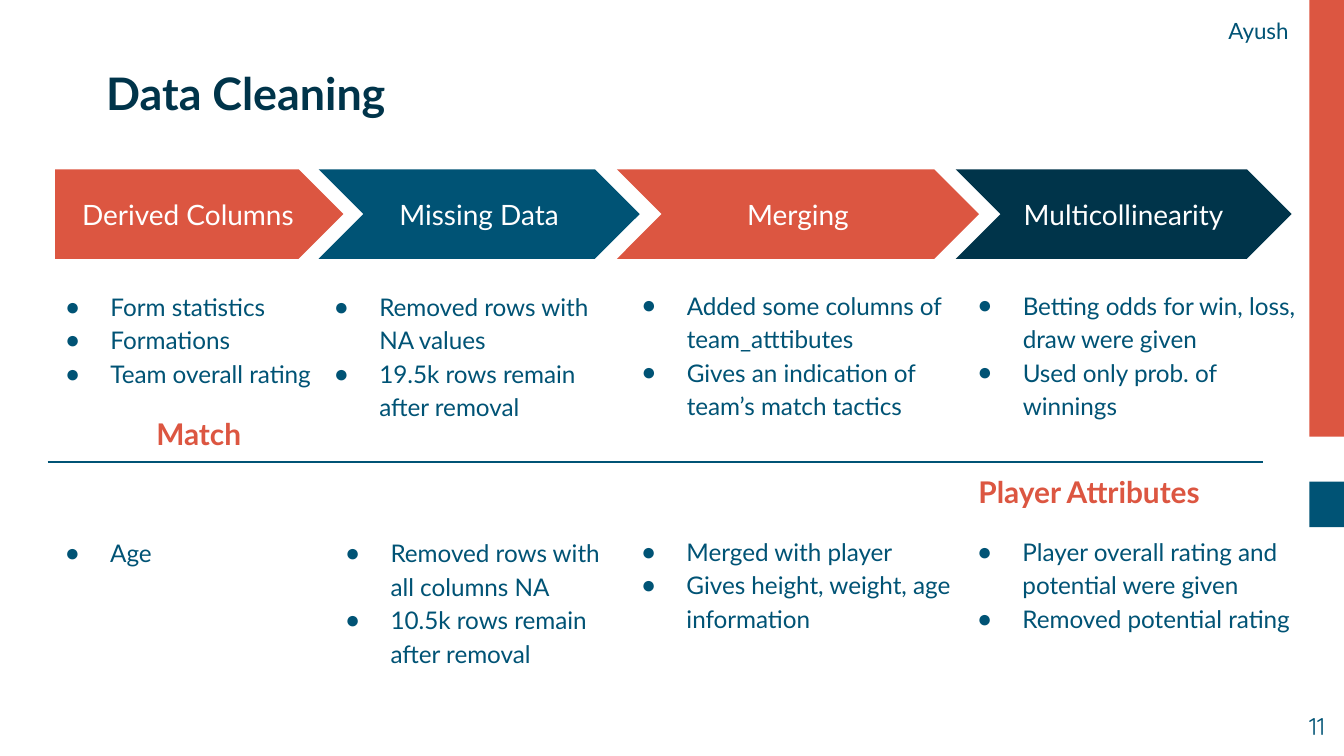
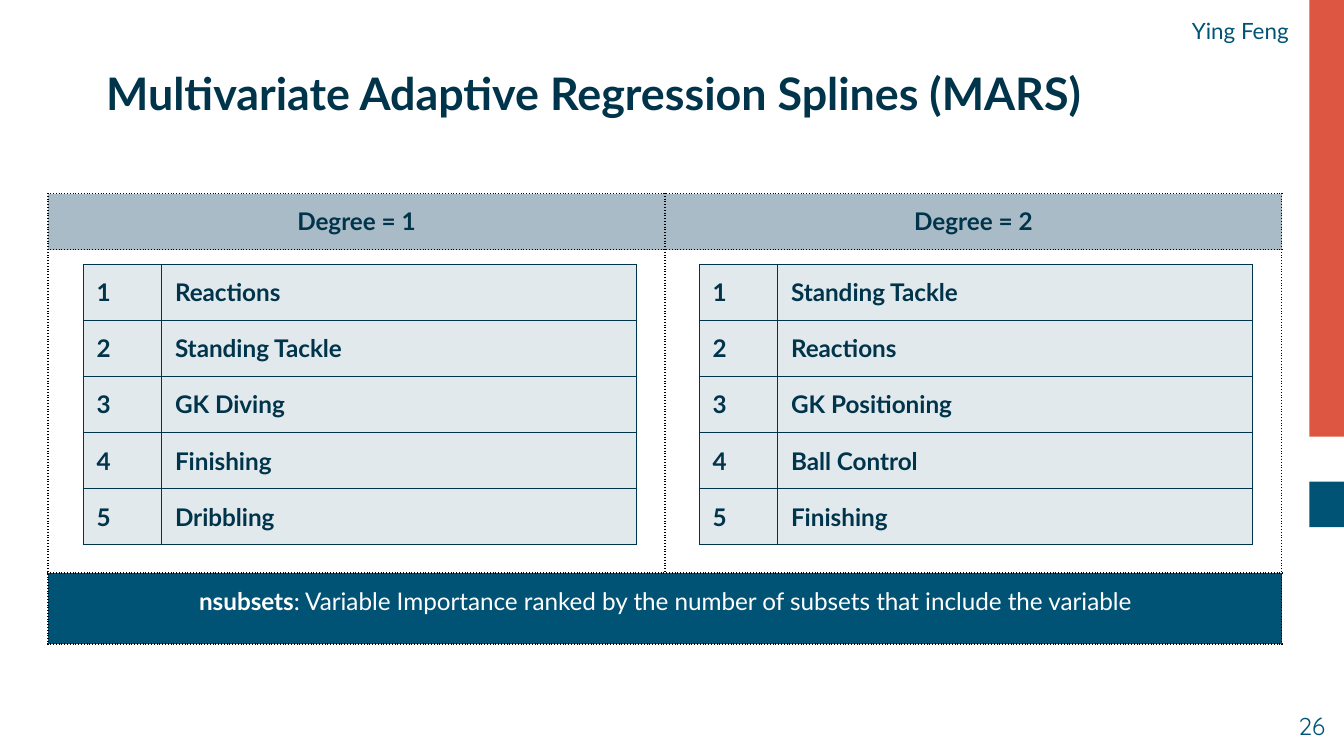
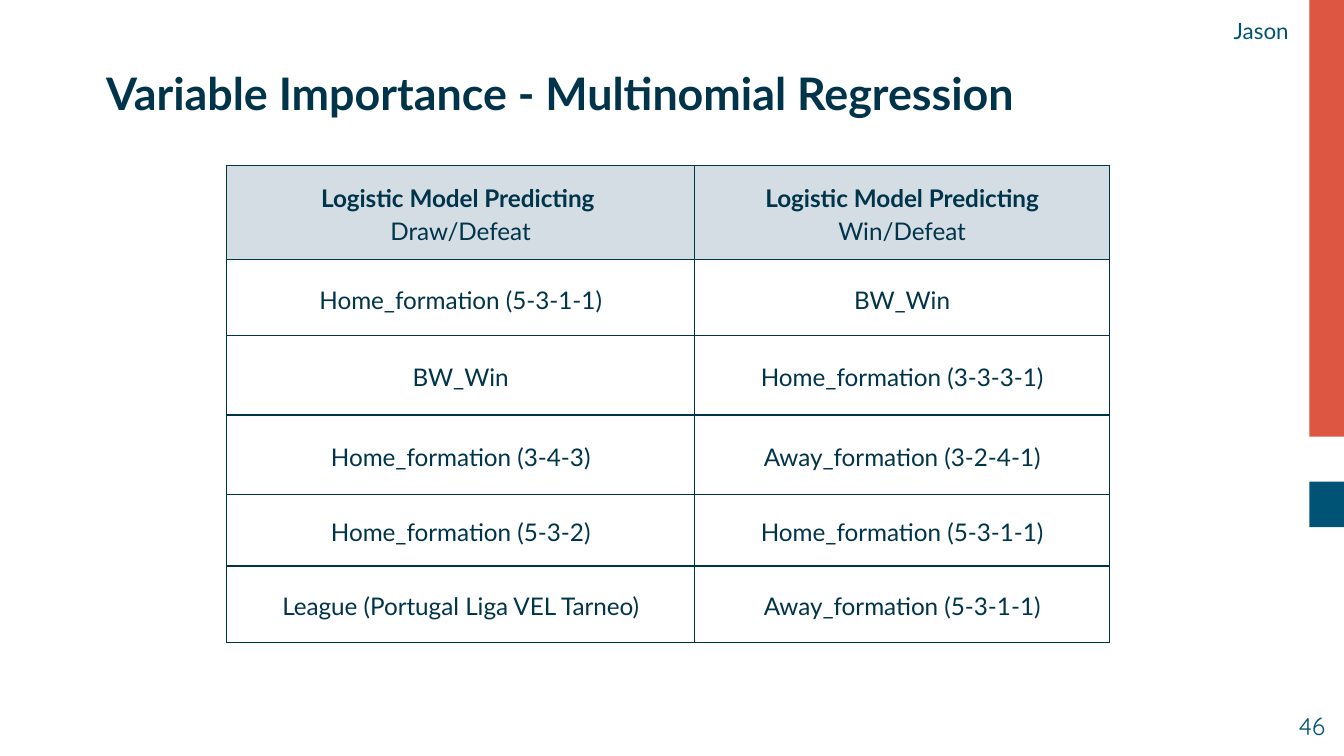
from lxml import etree
from pptx import Presentation
from pptx.dml.color import RGBColor
from pptx.enum.shapes import MSO_CONNECTOR, MSO_SHAPE
from pptx.enum.text import MSO_ANCHOR as ANCHOR, MSO_AUTO_SIZE, PP_ALIGN as ALIGN
from pptx.oxml import parse_xml
from pptx.oxml.ns import nsdecls, qn
from pptx.util import Pt

# Shared style
CORAL = RGBColor(0xDC, 0x56, 0x41)
TEAL = RGBColor(0x00, 0x53, 0x75)
NAVY = RGBColor(0x00, 0x34, 0x4A)
WHITE = RGBColor(0xFF, 0xFF, 0xFF)
BLACK = RGBColor(0x00, 0x00, 0x00)
SLATE = RGBColor(0xAA, 0xBB, 0xC8)
MIST = RGBColor(0xE2, 0xE9, 0xED)
PALE = RGBColor(0xD4, 0xDD, 0xE3)
INSET = Pt(7.2)


def put_text(frame, paragraphs, size, colour, align=ALIGN.LEFT, anchor=ANCHOR.TOP,
             spacing=1.0, font="Lato", bullet=None):
    """Write paragraphs, each a list of (text, bold) runs."""
    frame.word_wrap = True
    frame.auto_size = MSO_AUTO_SIZE.NONE
    frame.vertical_anchor = anchor
    frame.margin_left = frame.margin_right = INSET
    frame.margin_top = frame.margin_bottom = INSET
    for index, runs in enumerate(paragraphs):
        paragraph = frame.paragraphs[0] if index == 0 else frame.add_paragraph()
        if bullet:
            properties = paragraph._p.get_or_add_pPr()
            properties.set("marL", str(Pt(36)))
            properties.set("indent", str(Pt(-24.2)))
            for tag in (f'buClr {nsdecls("a")}><a:srgbClr val="{colour}"/></a:buClr>',
                        f'buFont {nsdecls("a")} typeface="Arial"/>',
                        f'buChar {nsdecls("a")} char="{bullet}"/>'):
                properties.append(parse_xml("<a:" + tag))
        paragraph.alignment = align
        paragraph.line_spacing = spacing
        paragraph.space_before = Pt(0)
        for text, bold in runs:
            run = paragraph.add_run()
            run.text = text
            run.font.name = font
            run.font.size = Pt(size)
            run.font.bold = bold
            run.font.color.rgb = colour


def add_grid(slide, left, top, widths, heights, border, dash="solid", side_inset=INSET):
    """Add a table with unfilled cells and one border style throughout."""
    table = slide.shapes.add_table(len(heights), len(widths), Pt(left), Pt(top),
                                   Pt(sum(widths)), Pt(sum(heights))).table
    table.first_row = table.horz_banding = False
    for column, width in zip(table.columns, widths):
        column.width = Pt(width)
    for row, height in zip(table.rows, heights):
        row.height = Pt(height)
    for cell in table.iter_cells():
        for side in ("lnL", "lnR", "lnT", "lnB"):
            cell._tc.get_or_add_tcPr().append(parse_xml(
                f'<a:{side} {nsdecls("a")} w="{Pt(0.75)}"><a:solidFill>'
                f'<a:srgbClr val="{border}"/></a:solidFill>'
                f'<a:prstDash val="{dash}"/></a:{side}>'))
        cell.fill.background()
        cell.margin_left = cell.margin_right = side_inset
        cell.margin_top = cell.margin_bottom = INSET
    return table


prs = Presentation()
prs.slide_width, prs.slide_height = Pt(720), Pt(405)

# Titles, presenters and page numbers
TITLE_ONLY, COMPARISON = prs.slide_layouts[5], prs.slide_layouts[4]
pages = [
    (COMPARISON, "Data Cleaning", "Ayush", "11"),
    (TITLE_ONLY, "Multivariate Adaptive Regression Splines (MARS)", "Ying Feng", "26"),
    (TITLE_ONLY, "Variable Importance - Multinomial Regression", "Jason", "46"),
]
for layout, heading, presenter, number in pages:
    slide = prs.slides.add_slide(layout)
    title = slide.shapes.title
    title.left, title.top, title.width, title.height = Pt(49.7), Pt(34.3), Pt(635), Pt(31)
    put_text(title.text_frame, [[(heading, True)]], 24, NAVY, anchor=ANCHOR.MIDDLE)
    presenter_box = slide.shapes.add_textbox(Pt(497.5), Pt(3), Pt(200), Pt(24.5))
    put_text(presenter_box.text_frame, [[(presenter, False)]], 12, TEAL,
             ALIGN.RIGHT, ANCHOR.MIDDLE, 1.15)
    number_box = slide.shapes.add_textbox(Pt(674), Pt(373.7), Pt(43), Pt(31))
    put_text(number_box.text_frame, [[(number, False)]], 13, TEAL,
             ALIGN.RIGHT, font="Quicksand")

cleaning, mars, importance = prs.slides

# Side bands, moved to the master so that every slide shows them
for top, height, colour in [(0, 234, CORAL), (258, 24.5, TEAL)]:
    band = cleaning.shapes.add_shape(MSO_SHAPE.RECTANGLE, Pt(701.5), Pt(top),
                                     Pt(18.5), Pt(height))
    band.shadow.inherit = False
    band.fill.solid()
    band.fill.fore_color.rgb = colour
    band.line.fill.background()
    prs.slide_master.shapes.element.append(band.element)

# Data Cleaning: process steps
steps = [
    ("Derived Columns", MSO_SHAPE.PENTAGON, 29.5, 154.5, CORAL),
    ("Missing Data", MSO_SHAPE.CHEVRON, 170.7, 172, TEAL),
    ("Merging", MSO_SHAPE.CHEVRON, 330.5, 194, CORAL),
    ("Multicollinearity", MSO_SHAPE.CHEVRON, 512, 180, NAVY),
]
for label, outline, left, width, colour in steps:
    step = cleaning.shapes.add_shape(outline, Pt(left), Pt(90.7), Pt(width), Pt(48))
    step.shadow.inherit = False
    step.fill.solid()
    step.fill.fore_color.rgb = colour
    step.line.fill.background()
    put_text(step.text_frame, [[(label, False)]], 15, WHITE, ALIGN.CENTER, ANCHOR.MIDDLE)

# Data Cleaning: match lists above the divider, player lists below
lists = [
    (16, 147, 161, 94, ["Form statistics", "Formations", "Team overall rating"]),
    (160, 147, 180, 94, ["Removed rows with NA values",
                         "19.5k rows remain after removal"]),
    (324.7, 146.3, 194, 94, ["Added some columns of team_atttibutes",
                             "Gives an indication of team’s match tactics"]),
    (504.7, 146.3, 202, 94, ["Betting odds for win, loss, draw were given",
                             "Used only prob. of winnings"]),
    (16, 279, 161, 58, ["Age"]),
    (166.2, 279, 172, 94, ["Removed rows with all columns NA",
                           "10.5k rows remain after removal"]),
    (324.7, 278.3, 202, 94, ["Merged with player",
                             "Gives height, weight, age information"]),
    (504.7, 278.3, 194, 94, ["Player overall rating and potential were given",
                             "Removed potential rating"]),
]
match_lists = list(cleaning.placeholders)[1:]
player_lists = [cleaning.shapes.add_textbox(0, 0, 0, 0) for _ in lists[len(match_lists):]]
for body, (left, top, width, height, items) in zip(match_lists + player_lists, lists):
    body.left, body.top, body.width, body.height = Pt(left), Pt(top), Pt(width), Pt(height)
    put_text(body.text_frame, [[(item, False)] for item in items], 13, TEAL,
             spacing=1.15, bullet="●")

divider = cleaning.shapes.add_connector(MSO_CONNECTOR.STRAIGHT, Pt(25.5), Pt(247.5),
                                        Pt(676.5), Pt(247.5))
divider.line.color.rgb = TEAL
divider.line.width = Pt(0.75)
etree.SubElement(divider._element.spPr, qn("a:effectLst"))

for dataset, left, top, width in [("Match", 16.5, 216.7, 180),
                                  ("Player Attributes", 482.5, 248.1, 202)]:
    dataset_box = cleaning.shapes.add_textbox(Pt(left), Pt(top), Pt(width), Pt(31))
    put_text(dataset_box.text_frame, [[(dataset, True)]], 16, CORAL,
             ALIGN.CENTER, ANCHOR.MIDDLE)

# MARS: frame with a heading per degree and a shared note
degrees = add_grid(mars, 25.7, 103.7, [330.5] * 2, [29.8, 173.3, 38], BLACK, "sysDot")
for column, label in enumerate(["Degree = 1", "Degree = 2"]):
    heading_cell = degrees.cell(0, column)
    heading_cell.fill.solid()
    heading_cell.fill.fore_color.rgb = SLATE
    put_text(heading_cell.text_frame, [[(label, True)]], 13, NAVY, ALIGN.CENTER)
note = degrees.cell(2, 0)
note.merge(degrees.cell(2, 1))
note.fill.solid()
note.fill.fore_color.rgb = TEAL
put_text(note.text_frame, [[
    ("nsubsets", True),
    (": Variable Importance ranked by the number of subsets that include the variable", False),
]], 13, WHITE, ALIGN.CENTER)

# MARS: ranked variables
rankings = [
    (44.6, ["Reactions", "Standing Tackle", "GK Diving", "Finishing", "Dribbling"]),
    (374.6, ["Standing Tackle", "Reactions", "GK Positioning", "Ball Control", "Finishing"]),
]
for left, variables in rankings:
    ranking = add_grid(mars, left, 141.7, [42, 254.5], [30] * len(variables), NAVY)
    for row, variable in enumerate(variables):
        for column, text in enumerate([str(row + 1), variable]):
            cell = ranking.cell(row, column)
            cell.fill.solid()
            cell.fill.fore_color.rgb = MIST
            put_text(cell.text_frame, [[(text, True)]], 13, NAVY)

# Variable importance: one column per logistic model
predicting = ("Logistic Model Predicting ", True)
models = [
    [[[predicting], [("Draw/Defeat", False)]],
     [[predicting, ("Win/Defeat", False)]]],
]
for draw_variable, win_variable in [
    ("Home_formation (5-3-1-1)", "BW_Win"),
    ("BW_Win", "Home_formation (3-3-3-1)"),
    ("Home_formation (3-4-3)", "Away_formation (3-2-4-1)"),
    ("Home_formation (5-3-2)", "Home_formation (5-3-1-1)"),
    ("League (Portugal Liga VEL Tarneo)", "Away_formation (5-3-1-1)"),
]:
    models.append([[[(draw_variable, False)]], [[(win_variable, False)]]])

effects = add_grid(importance, 121.5, 88.6, [250.5, 222.5],
                   [50.4, 40.8, 42.5, 42.5, 38.5, 41], NAVY, side_inset=Pt(5))
for row, entries in enumerate(models):
    for column, paragraphs in enumerate(entries):
        cell = effects.cell(row, column)
        if row == 0:
            cell.fill.solid()
            cell.fill.fore_color.rgb = PALE
        put_text(cell.text_frame, paragraphs, 13, NAVY, ALIGN.CENTER, spacing=1.15)
        cell.vertical_anchor = ANCHOR.MIDDLE

prs.save("out.pptx")
